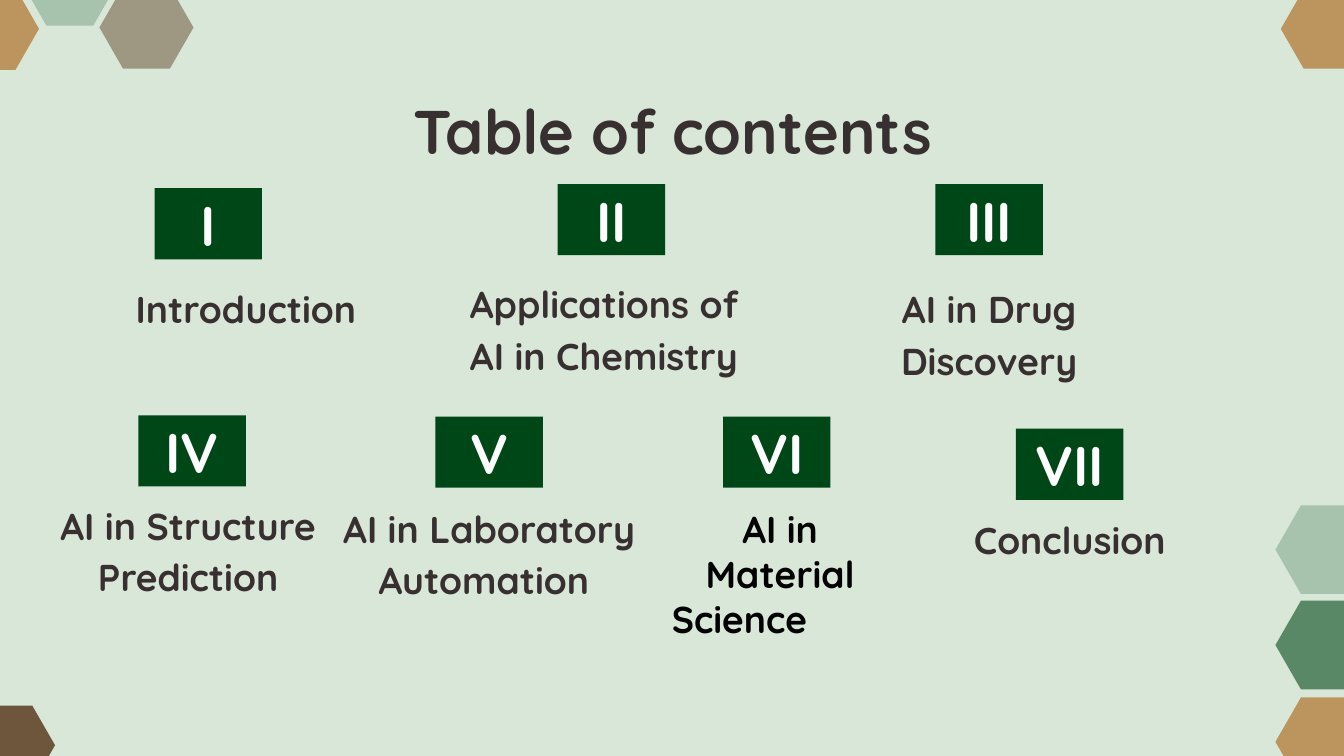
from lxml import etree
from pptx import Presentation
from pptx.dml.color import RGBColor
from pptx.enum.shapes import MSO_SHAPE
from pptx.enum.text import MSO_ANCHOR, PP_ALIGN
from pptx.oxml.ns import qn
from pptx.util import Inches, Pt

RECTANGLE = MSO_SHAPE.RECTANGLE
TOP, MIDDLE, BOTTOM = MSO_ANCHOR.TOP, MSO_ANCHOR.MIDDLE, MSO_ANCHOR.BOTTOM
LEFT, CENTER = PP_ALIGN.LEFT, PP_ALIGN.CENTER

FONT = "Quicksand"
MINT = RGBColor(0xD8, 0xE7, 0xD8)
GREEN = RGBColor(0x00, 0x47, 0x17)
BROWN = RGBColor(0x6D, 0x56, 0x3C)
TAN = RGBColor(0xBB, 0x94, 0x5E)
DARK = RGBColor(0x38, 0x30, 0x30)
BLACK = RGBColor(0x00, 0x00, 0x00)
WHITE = RGBColor(0xFE, 0xFE, 0xFE)

BADGE_WIDTH, BADGE_HEIGHT = 0.8, 0.53

# Left, top, width, height, colour, opacity in percent
HEXAGONS = [
    (-0.27, 5.25, 0.68, 0.59, BROWN, 100),
    (9.53, -0.08, 0.68, 0.59, TAN, 100),
    (9.49, 3.76, 0.76, 0.66, GREEN, 22),
    (9.49, 5.19, 0.76, 0.66, TAN, 100),
    (9.49, 4.47, 0.76, 0.66, GREEN, 59),
    (0.74, -0.1, 0.7, 0.61, BROWN, 54),
    (-0.41, -0.09, 0.7, 0.61, TAN, 100),
    (0.17, -0.42, 0.7, 0.61, GREEN, 22),
]

# Numeral, badge left and top, label, label box
SECTIONS = [
    ("I", 1.15, 1.4, "Introduction", (0.57, 1.65, 2.52, 0.91)),
    ("II", 4.15, 1.37, "Applications of AI in Chemistry", (3.31, 1.76, 2.37, 1.15)),
    ("III", 6.96, 1.37, "AI in Drug Discovery", (6.1, 2.42, 2.52, 0.53)),
    ("IV", 1.03, 3.09, "AI in Structure Prediction", (0.14, 4.03, 2.52, 0.53)),
    ("V", 3.24, 3.1, "AI in Laboratory Automation ", (2.38, 4.05, 2.52, 0.53)),
    ("VII", 7.56, 3.19, "Conclusion", (6.7, 3.75, 2.52, 0.53)),
]


def paint(shape, color):
    shape.fill.solid()
    shape.fill.fore_color.rgb = color
    shape.line.fill.background()
    shape.shadow.inherit = False


def write(shape, lines, size, color, anchor, spacing=1.0, inset=0.1):
    """Fill a shape with paragraphs given as (text, alignment) pairs."""
    frame = shape.text_frame
    frame.word_wrap = True
    frame.vertical_anchor = anchor
    frame.margin_left = frame.margin_right = Inches(0.1)
    frame.margin_top = frame.margin_bottom = Inches(inset)
    for index, (text, alignment) in enumerate(lines):
        paragraph = frame.add_paragraph() if index else frame.paragraphs[0]
        paragraph.alignment = alignment
        paragraph.line_spacing = spacing
        run = paragraph.add_run()
        run.text = text
        run.font.name = FONT
        run.font.size = Pt(size)
        run.font.bold = True
        run.font.color.rgb = color


def add_text(slide, box, *style, **options):
    write(slide.shapes.add_textbox(*map(Inches, box)), *style, **options)


def add_hexagon(slide, left, top, width, height, color, opacity):
    inset, middle = width / 4, top + height / 2
    right, bottom = left + width, top + height
    points = [
        (left + inset, top), (left, middle), (left + inset, bottom),
        (right - inset, bottom), (right, middle), (right - inset, top),
    ]
    corners = [(Inches(x), Inches(y)) for x, y in points]
    builder = slide.shapes.build_freeform(*corners[0])
    builder.add_line_segments(corners[1:], close=True)
    hexagon = builder.convert_to_shape()
    paint(hexagon, color)
    if opacity < 100:
        solid_fill = hexagon.element.spPr.find(qn("a:solidFill"))
        etree.SubElement(solid_fill[0], qn("a:alpha"), val=str(opacity * 1000))


def add_badge(slide, left, top, numeral):
    box = (left, top, BADGE_WIDTH, BADGE_HEIGHT)
    badge = slide.shapes.add_shape(RECTANGLE, *map(Inches, box))
    paint(badge, GREEN)
    write(badge, [(numeral, CENTER)], 30, WHITE, MIDDLE)


def build_contents_slide(presentation):
    slide = presentation.slides.add_slide(presentation.slide_layouts[6])
    slide.background.fill.solid()
    slide.background.fill.fore_color.rgb = MINT

    # Corner decoration
    for hexagon in HEXAGONS:
        add_hexagon(slide, *hexagon)

    # Title
    title = [("Table of contents", CENTER)]
    add_text(slide, (0.79, 0.59, 8.43, 0.63), title, 33, DARK, TOP)

    # Numbered sections
    for numeral, left, top, label, label_box in SECTIONS:
        add_badge(slide, left, top, numeral)
        add_text(slide, label_box, [(label, CENTER)], 20, DARK, BOTTOM, 1.15)

    # Section VI has a black label in two paragraphs
    add_badge(slide, 5.38, 3.1, "VI")
    material = [("AI in Material", CENTER), ("Science", LEFT)]
    add_text(slide, (4.9, 3.72, 1.81, 1.11), material, 20, BLACK, TOP, inset=0.05)


def main():
    presentation = Presentation()
    # Widescreen, 16:9
    presentation.slide_width = Inches(10)
    presentation.slide_height = Inches(10) * 9 // 16
    build_contents_slide(presentation)
    presentation.save("out.pptx")


if __name__ == "__main__":
    main()
